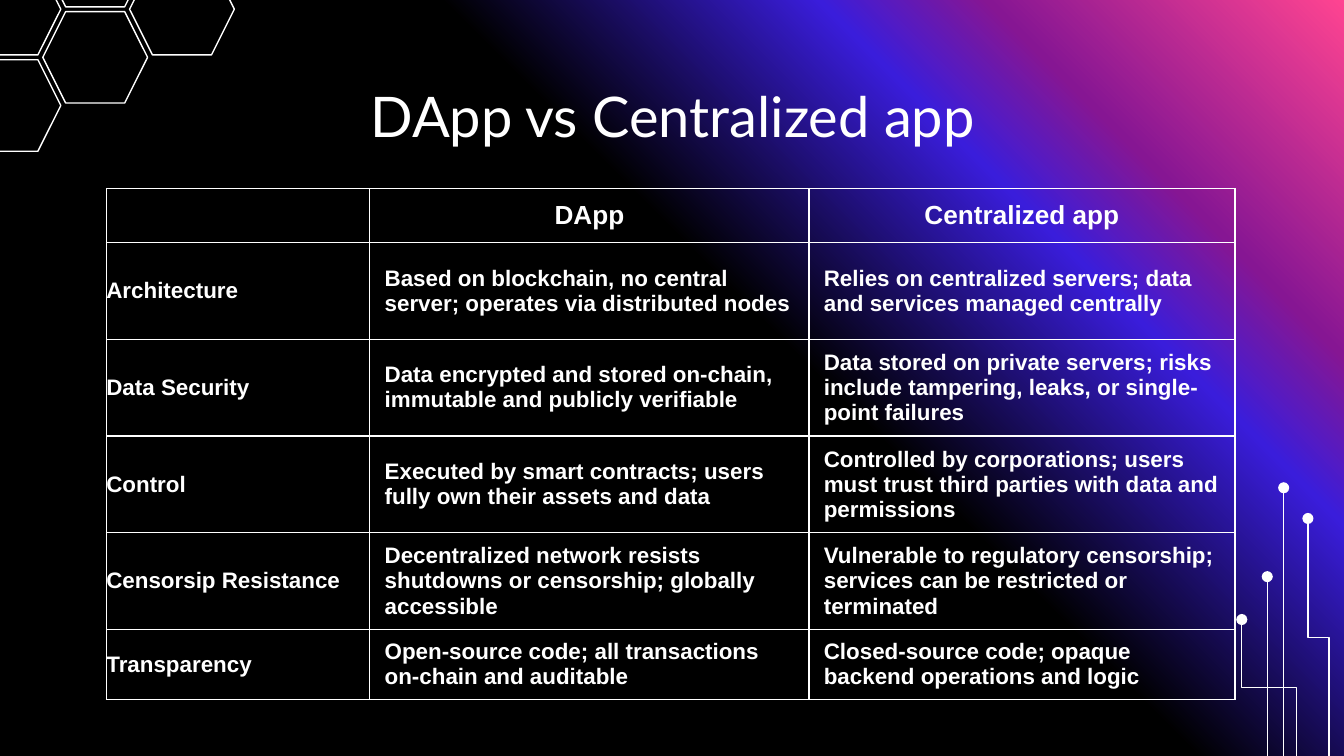
from dataclasses import dataclass

import lxml.etree
import pptx
import pptx.dml.color
import pptx.enum.shapes
import pptx.enum.text
import pptx.oxml
import pptx.oxml.ns
import pptx.util

Cm = pptx.util.Cm
Pt = pptx.util.Pt
qn = pptx.oxml.ns.qn
ALIGN = pptx.enum.text.PP_ALIGN
ANCHOR = pptx.enum.text.MSO_ANCHOR
CONNECTOR = pptx.enum.shapes.MSO_CONNECTOR

COLORS = {"white": "FFFFFF", "pink": "FF4491", "purple": "861693", "blue": "3A1DDB", "black": "000000"}
WIDTH, HEIGHT = 25.4, 14.29
LINE_PT = 0.75
DRAWING_NS = "http://schemas.openxmlformats.org/drawingml/2006/main"


@dataclass
class Stop:
    pos: int
    color: str
    alpha: int = 100


@dataclass
class Hexagon:
    col: int
    row: int


@dataclass
class Trace:
    x_bottom: float
    x_top: float
    y_top: float


STOPS = [Stop(0, "pink"), Stop(17, "purple", 79), Stop(25, "blue"), Stop(43, "black"), Stop(100, "black")]
HEXAGONS = [Hexagon(1, 0), Hexagon(0, 1), Hexagon(1, 2), Hexagon(0, 3), Hexagon(2, 1)]
TRACES = [
    Trace(25.12, 24.72, 9.8),
    Trace(23.95, 23.95, 10.9),
    Trace(24.26, 24.26, 9.22),
    Trace(24.51, 23.47, 11.71),
]
COLUMNS = [4.98, 8.3, 8.05]
ROWS = [1.02, 1.83, 1.83, 1.83, 1.83, 1.32]
CELLS = [
    ("", "DApp", "Centralized app"),
    ("Architecture",
     "Based on blockchain, no central server; operates via distributed nodes",
     "Relies on centralized servers; data and services managed centrally"),
    ("Data Security",
     "Data encrypted and stored on-chain, immutable and publicly verifiable",
     "Data stored on private servers; risks include tampering, leaks, or single-point failures"),
    ("Control",
     "Executed by smart contracts; users fully own their assets and data",
     "Controlled by corporations; users must trust third parties with data and permissions"),
    ("Censorsip Resistance",
     "Decentralized network resists shutdowns or censorship; globally accessible",
     "Vulnerable to regulatory censorship; services can be restricted or terminated"),
    ("Transparency",
     "Open-source code; all transactions on-chain and auditable",
     "Closed-source code; opaque backend operations and logic"),
]


def rgb(name: str):
    return pptx.dml.color.RGBColor.from_string(COLORS[name])


def write(tf, text: str, *, size: float, font: str = "Arial", bold: bool = False,
          color: str = "white", align=ALIGN.LEFT) -> None:
    tf.word_wrap = True
    p = tf.paragraphs[0]
    p.alignment = align
    r = p.add_run()
    r.text = text
    r.font.size = Pt(size)
    r.font.name = font
    r.font.bold = bold
    r.font.color.rgb = rgb(color)


def set_margins(box, left: float, top: float, right: float, bottom: float) -> None:
    box.margin_left, box.margin_top = Cm(left), Cm(top)
    box.margin_right, box.margin_bottom = Cm(right), Cm(bottom)


def paint_background(s) -> None:
    s.background.fill.gradient()
    grad = s._element.find(".//" + qn("a:gradFill"))
    stops = "".join(
        f'<a:gs pos="{stop.pos * 1000}"><a:srgbClr val="{COLORS[stop.color]}">'
        f'<a:alpha val="{stop.alpha * 1000}"/></a:srgbClr></a:gs>'
        for stop in STOPS
    )
    grad.getparent().replace(grad, pptx.oxml.parse_xml(
        f'<a:gradFill xmlns:a="{DRAWING_NS}" rotWithShape="1"><a:gsLst>{stops}</a:gsLst>'
        '<a:path path="circle"><a:fillToRect l="100000" b="100000"/></a:path></a:gradFill>'
    ))


def draw_hexagon(s, hexagon: Hexagon) -> None:
    sp = s.shapes.add_shape(
        pptx.enum.shapes.MSO_SHAPE.HEXAGON,
        Cm(-0.83 + 1.64 * hexagon.col), Cm(-1.6 + 0.91 * hexagon.row), Cm(1.98), Cm(1.73))
    sp.shadow.inherit = False
    sp.fill.background()
    sp.line.color.rgb = rgb("white")
    sp.line.width = Pt(LINE_PT)


def draw_trace(s, trace: Trace) -> None:
    if trace.x_bottom == trace.x_top:
        sp = s.shapes.add_connector(
            CONNECTOR.STRAIGHT, Cm(trace.x_bottom), Cm(HEIGHT), Cm(trace.x_top), Cm(trace.y_top))
    else:
        cx, cy = (trace.x_bottom + trace.x_top) / 2, (HEIGHT + trace.y_top) / 2
        dx, dy = (HEIGHT - trace.y_top) / 2, (trace.x_bottom - trace.x_top) / 2
        sp = s.shapes.add_connector(
            CONNECTOR.ELBOW, Cm(cx + dx), Cm(cy - dy), Cm(cx - dx), Cm(cy + dy))
        sp._element.spPr.find(qn("a:xfrm")).set("rot", "5400000")
    sp.line.color.rgb = rgb("white")
    sp.line.width = Pt(LINE_PT)
    lxml.etree.SubElement(sp.line._get_or_add_ln(), qn("a:tailEnd"), type="oval")
    lxml.etree.SubElement(sp._element.spPr, qn("a:effectLst"))


def draw_borders(cell) -> None:
    tc_pr = cell._tc.get_or_add_tcPr()
    for i, side in enumerate(("lnL", "lnR", "lnT", "lnB")):
        tc_pr.insert(i, pptx.oxml.parse_xml(
            f'<a:{side} xmlns:a="{DRAWING_NS}" w="{Pt(LINE_PT)}"><a:solidFill>'
            f'<a:srgbClr val="{COLORS["white"]}"/></a:solidFill></a:{side}>'
        ))


def draw_table(s) -> None:
    table = s.shapes.add_table(
        len(ROWS), len(COLUMNS), Cm(2.01), Cm(3.56), Cm(sum(COLUMNS)), Cm(sum(ROWS))).table
    table.first_row = False
    table.horz_banding = False
    for column, width in zip(table.columns, COLUMNS):
        column.width = Cm(width)
    for row, height in zip(table.rows, ROWS):
        row.height = Cm(height)
    for i, texts in enumerate(CELLS):
        for j, text in enumerate(texts):
            cell = table.cell(i, j)
            cell.fill.background()
            cell.vertical_anchor = ANCHOR.MIDDLE
            draw_borders(cell)
            if i == 0:
                set_margins(cell, 0.25, 0, 0.25, 0)
            else:
                set_margins(cell, 0.28 if j else 0, 0.15, 0.28, 0.15)
            if text:
                write(cell.text_frame, text, size=12 if i else 14, bold=True,
                      align=ALIGN.LEFT if i else ALIGN.CENTER)


def main() -> None:
    prs = pptx.Presentation()
    prs.slide_width, prs.slide_height = Cm(WIDTH), Cm(HEIGHT)
    s = prs.slides.add_slide(prs.slide_layouts[6])
    paint_background(s)
    for hexagon in HEXAGONS:
        draw_hexagon(s, hexagon)
    for trace in TRACES:
        draw_trace(s, trace)
    tf = s.shapes.add_textbox(Cm(2.01), Cm(1.3), Cm(21.41), Cm(1.6)).text_frame
    set_margins(tf, 0.25, 0.25, 0.25, 0.25)
    write(tf, "DApp vs Centralized app", size=30, font="Lato", align=ALIGN.CENTER)
    draw_table(s)
    prs.save("out.pptx")


if __name__ == "__main__":
    main()
